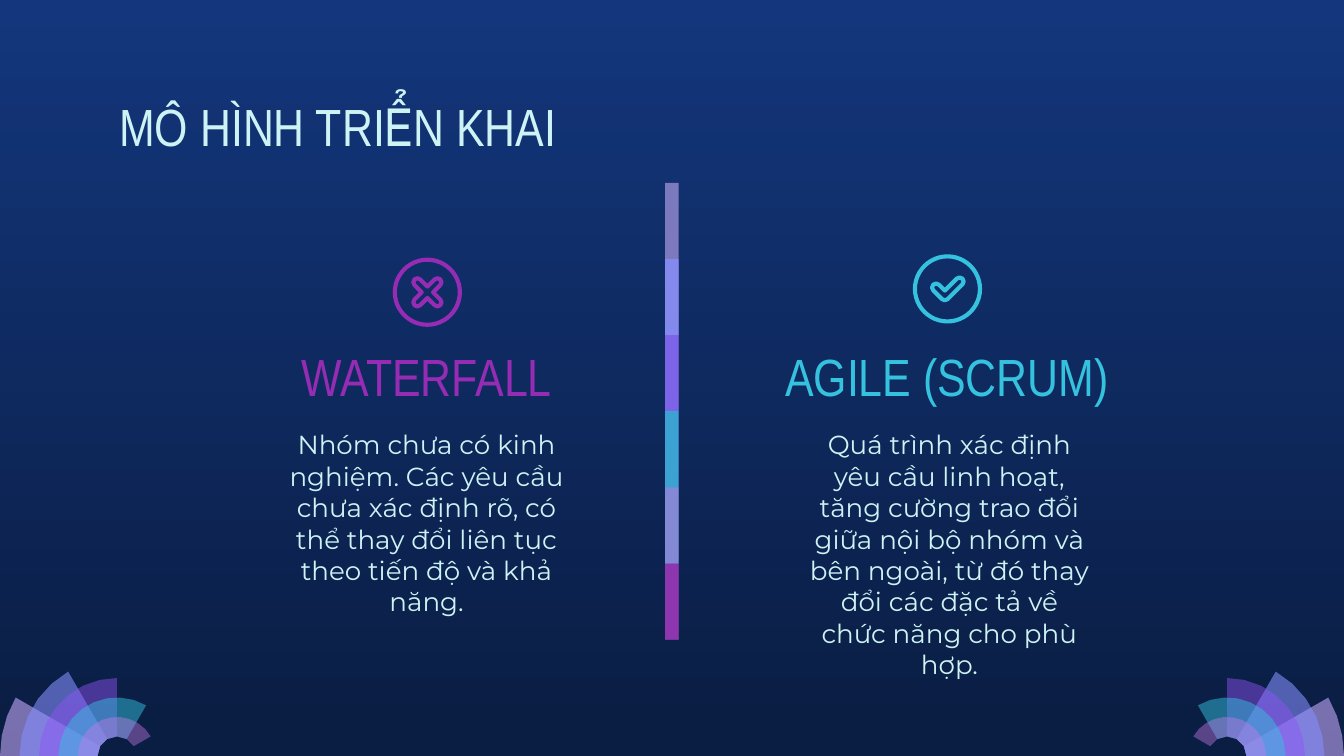
from math import cos, radians, sin, sqrt

from lxml.etree import SubElement
from pptx import Presentation
from pptx.dml.color import RGBColor as Rgb
from pptx.enum.shapes import MSO_SHAPE as Kind
from pptx.enum.text import MSO_ANCHOR as Anchor, PP_ALIGN as Align
from pptx.oxml.ns import qn
from pptx.util import Inches, Pt

WIDE, HIGH = 10, 5.625
COLORS = {
    "top": "13367C", "base": "0A1D42", "pale": "CEF3F5",
    "cyan": "35C2DF", "plum": "972CB4", "lilac": "C8ACFD",
    "mist": "C8AEF8", "blue": "878FFF", "violet": "9154F8", "pink": "CA7BEB",
}


def arc(x, y, size, start, end, steps):
    """Points along a circle, with angles counted counterclockwise."""
    turns = [radians(start + (end - start) * i / steps) for i in range(steps + 1)]
    return [(x + size * cos(t), y - size * sin(t)) for t in turns]


class Deck:
    head, body = "Arial Narrow", "Montserrat"

    def __init__(self):
        self.prs = Presentation()
        self.prs.slide_width, self.prs.slide_height = Inches(WIDE), Inches(HIGH)
        self.slide = self.prs.slides.add_slide(self.prs.slide_layouts[6])
        self.shapes = self.slide.shapes

    def color(self, name):
        return Rgb.from_string(COLORS[name])

    def back(self, first, last):
        fill = self.slide.background.fill
        fill.gradient()
        fill.gradient_angle = 270
        for stop, name in zip(fill.gradient_stops, (first, last)):
            stop.color.rgb = self.color(name)

    def paint(self, shape, name, alpha=100):
        shape.shadow.inherit = False
        shape.line.fill.background()
        shape.fill.solid()
        shape.fill.fore_color.rgb = self.color(name)
        if alpha < 100:
            tint = shape.fill._xPr.find(".//" + qn("a:srgbClr"))
            SubElement(tint, qn("a:alpha"), val=str(alpha * 1000))

    def preset(self, kind, x, y, w, h, name, alpha=100):
        shape = self.shapes.add_shape(kind, *map(Inches, (x, y, w, h)))
        self.paint(shape, name, alpha)
        return shape

    def outline(self, points):
        dots = [(Inches(x), Inches(y)) for x, y in points]
        form = self.shapes.build_freeform(*dots[0], scale=1.0)
        form.add_line_segments(dots[1:], close=True)
        return form.convert_to_shape()

    def stroke(self, points, name):
        shape = self.outline(points)
        shape.shadow.inherit = False
        shape.fill.background()
        shape.line.color.rgb = self.color(name)
        shape.line.width = Pt(2.2)

    def ring(self, x, y, name):
        size = 0.515
        shape = self.preset(Kind.DONUT, x - size / 2, y - size / 2, size, size, name)
        shape.adjustments[0] = 0.06

    def text(self, words, x, y, w, h, font, size, name,
             align=Align.CENTER, anchor=Anchor.TOP):
        frame = self.shapes.add_textbox(*map(Inches, (x, y, w, h))).text_frame
        frame.word_wrap = True
        frame.vertical_anchor = anchor
        frame.margin_left = frame.margin_right = Inches(0.1)
        frame.margin_top = frame.margin_bottom = Inches(0.1)
        para = frame.paragraphs[0]
        para.text = words
        para.alignment = align
        para.font.name, para.font.size = font, Pt(size)
        para.font.color.rgb = self.color(name)

    def fan(self, flip):
        """Ring sectors, each one step smaller and 30 degrees longer."""
        step, x = 0.145, 0.87
        petals = [("lilac", 58), ("blue", 58), ("violet", 46), ("cyan", 49), ("pink", 42)]
        for i, (name, alpha) in enumerate(petals):
            end = 150 - 30 * i
            points = (arc(x, HIGH, step * (6 - i), 180, end, 2 * i + 3)
                      + arc(x, HIGH, step, end, 180, i + 1))
            if flip:
                points = [(WIDE - px, py) for px, py in points]
            self.paint(self.outline(points), name, alpha)


def cross(x, y, reach=0.075, size=0.03):
    points = []
    for turn in range(45, 405, 90):
        side = radians(turn)
        tip, nook = reach * sqrt(2), radians(turn + 45)
        points += arc(x + tip * cos(side), y - tip * sin(side),
                      size, turn - 90, turn + 90, 4)
        points.append((x + size * sqrt(2) * cos(nook), y - size * sqrt(2) * sin(nook)))
    return points


def check(x, y, size=0.03):
    left, low = x - 0.02, y + 0.055
    return (arc(left - 0.065, low - 0.065, size, 45, 225, 4)
            + arc(left, low, size, 225, 315, 2)
            + arc(left + 0.11, low - 0.11, size, -45, 135, 4)
            + [(left, low - size * sqrt(2))])


def main():
    deck = Deck()
    deck.back("top", "base")

    # Corner fans
    for flip in (False, True):
        deck.fan(flip)

    # Title
    deck.text("MÔ HÌNH TRIỂN KHAI", 0.79, 0.6, 8.43, 0.63,
              deck.head, 28, "pale", Align.LEFT)

    # Two models: heading, heading box, text left, text, icon
    models = [
        ("WATERFALL", 2, 2.35, "plum", 2.01,
         "Nhóm chưa có kinh nghiệm. Các yêu cầu chưa xác định rõ, có thể thay đổi "
         "liên tục theo tiến độ và khả năng.", cross, 3.18, 2.175),
        ("AGILE (SCRUM)", 5.64, 2.81, "cyan", 5.9,
         "Quá trình xác định yêu cầu linh hoạt, tăng cường trao đổi giữa nội bộ nhóm "
         "và bên ngoài, từ đó thay đổi các đặc tả về chức năng cho phù hợp.",
         check, 7.05, 2.15),
    ]
    for title, left, wide, name, edge, words, glyph, x, y in models:
        deck.text(title, left, 2.5, wide, 0.63, deck.head, 28, name, anchor=Anchor.BOTTOM)
        deck.text(words, edge, 3.09, 2.33, 1.12, deck.body, 14, "pale")
        deck.ring(x, y, name)
        deck.stroke(glyph(x, y), name)

    # Centre bar: overlapping bands, the last one half as tall
    bands = [("mist", 59), ("blue", 74), ("violet", 53),
             ("cyan", 76), ("pink", 56), ("plum", 74)]
    step = 3.4 / len(bands)
    for i, (name, alpha) in enumerate(bands):
        tall = step if i == len(bands) - 1 else 2 * step
        deck.preset(Kind.RECTANGLE, 4.95, 1.36 + step * i, 0.1, tall, name, alpha)

    deck.prs.save("out.pptx")


if __name__ == "__main__":
    main()
